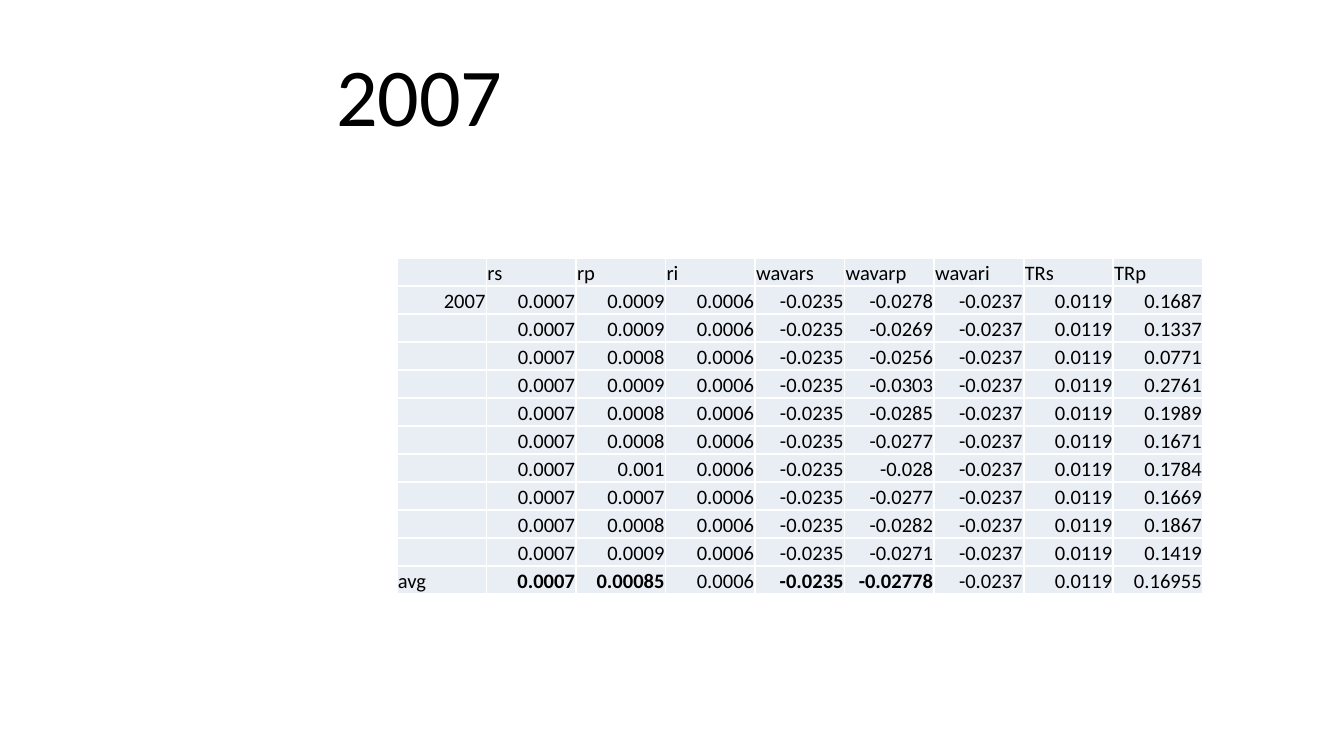
from lxml import etree
from pptx import Presentation
from pptx.dml.color import RGBColor
from pptx.enum.text import MSO_ANCHOR, PP_ALIGN
from pptx.oxml.ns import qn
from pptx.util import Pt

LEFT, RIGHT = PP_ALIGN.LEFT, PP_ALIGN.RIGHT
MIDDLE, BOTTOM = MSO_ANCHOR.MIDDLE, MSO_ANCHOR.BOTTOM
COLORS = {"text": "000000", "cell": "E9EDF4", "border": "FFFFFF"}
FONT = "Calibri"
CELL_SIZE = 11
BORDER_WIDTH = Pt(1)


def px(count):
    return round(count * 914400 / 134.4)


def write(frame, text, size=CELL_SIZE, bold=False, align=LEFT):
    para = frame.paragraphs[0]
    para.alignment = align
    if not text:
        # An empty cell still needs a small line height
        etree.SubElement(para._p, qn("a:endParaRPr"), sz=str(size * 100))
        return
    span = para.add_run()
    span.text = text
    span.font.name = FONT
    span.font.size = Pt(size)
    span.font.bold = bold
    span.font.color.rgb = RGBColor.from_string(COLORS["text"])


deck = Presentation()
deck.slide_width, deck.slide_height = px(1344), px(756)
page = deck.slides.add_slide(deck.slide_layouts[6])

# Title
title = page.shapes.add_textbox(px(323), px(31), px(954), px(126))
title.text_frame.word_wrap = True
title.text_frame.vertical_anchor = MIDDLE
write(title.text_frame, "2007", size=44)

# Table content: only rp, wavarp and TRp change between the runs
header = ["", "rs", "rp", "ri", "wavars", "wavarp", "wavari", "TRs", "TRp"]
runs = [
    ("2007", "0.0009", "-0.0278", "0.1687"),
    ("", "0.0009", "-0.0269", "0.1337"),
    ("", "0.0008", "-0.0256", "0.0771"),
    ("", "0.0009", "-0.0303", "0.2761"),
    ("", "0.0008", "-0.0285", "0.1989"),
    ("", "0.0008", "-0.0277", "0.1671"),
    ("", "0.001", "-0.028", "0.1784"),
    ("", "0.0007", "-0.0277", "0.1669"),
    ("", "0.0008", "-0.0282", "0.1867"),
    ("", "0.0009", "-0.0271", "0.1419"),
    ("avg", "0.00085", "-0.02778", "0.16955"),
]
rows = [header] + [
    [label, "0.0007", rp, "0.0006", "-0.0235", wavarp, "-0.0237", "0.0119", trp]
    for label, rp, wavarp, trp in runs
]
bold_columns = {"rs", "rp", "wavars", "wavarp"}

# Table
table = page.shapes.add_table(
    len(rows), len(header), px(397), px(258), px(806), px(336)
).table
table.first_row = False
table.horz_banding = False

for row_index, values in enumerate(rows):
    for column_index, text in enumerate(values):
        cell = table.cell(row_index, column_index)
        cell.margin_left = cell.margin_right = cell.margin_top = px(1)
        cell.margin_bottom = 0
        cell.vertical_anchor = BOTTOM

        # Borders come before the fill in the cell properties
        properties = cell._tc.get_or_add_tcPr()
        for side in ("lnL", "lnR", "lnT", "lnB"):
            line = etree.SubElement(properties, qn(f"a:{side}"), w=str(BORDER_WIDTH))
            fill = etree.SubElement(line, qn("a:solidFill"))
            etree.SubElement(fill, qn("a:srgbClr"), val=COLORS["border"])
        cell.fill.solid()
        cell.fill.fore_color.rgb = RGBColor.from_string(COLORS["cell"])

        is_label = row_index == 0 or text == "avg"
        is_bold = values[0] == "avg" and header[column_index] in bold_columns
        write(cell.text_frame, text, bold=is_bold, align=LEFT if is_label else RIGHT)

deck.save("out.pptx")
